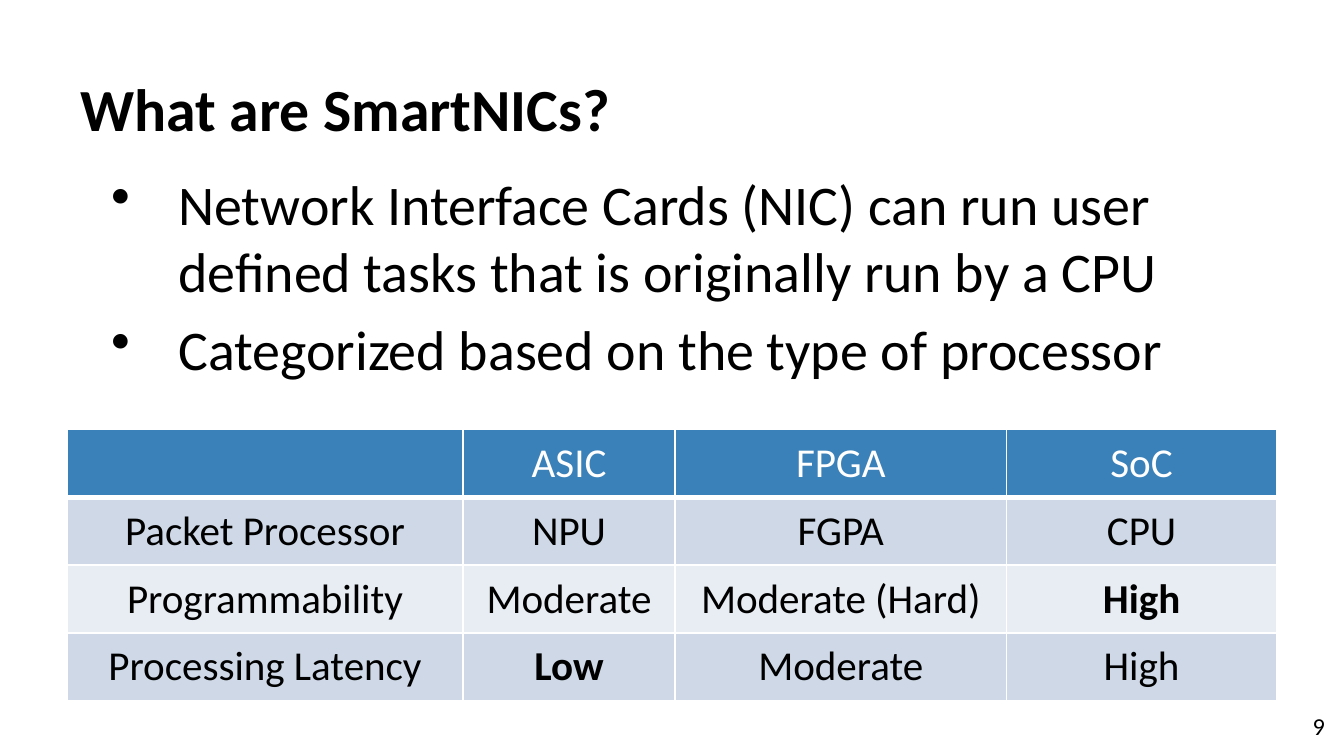
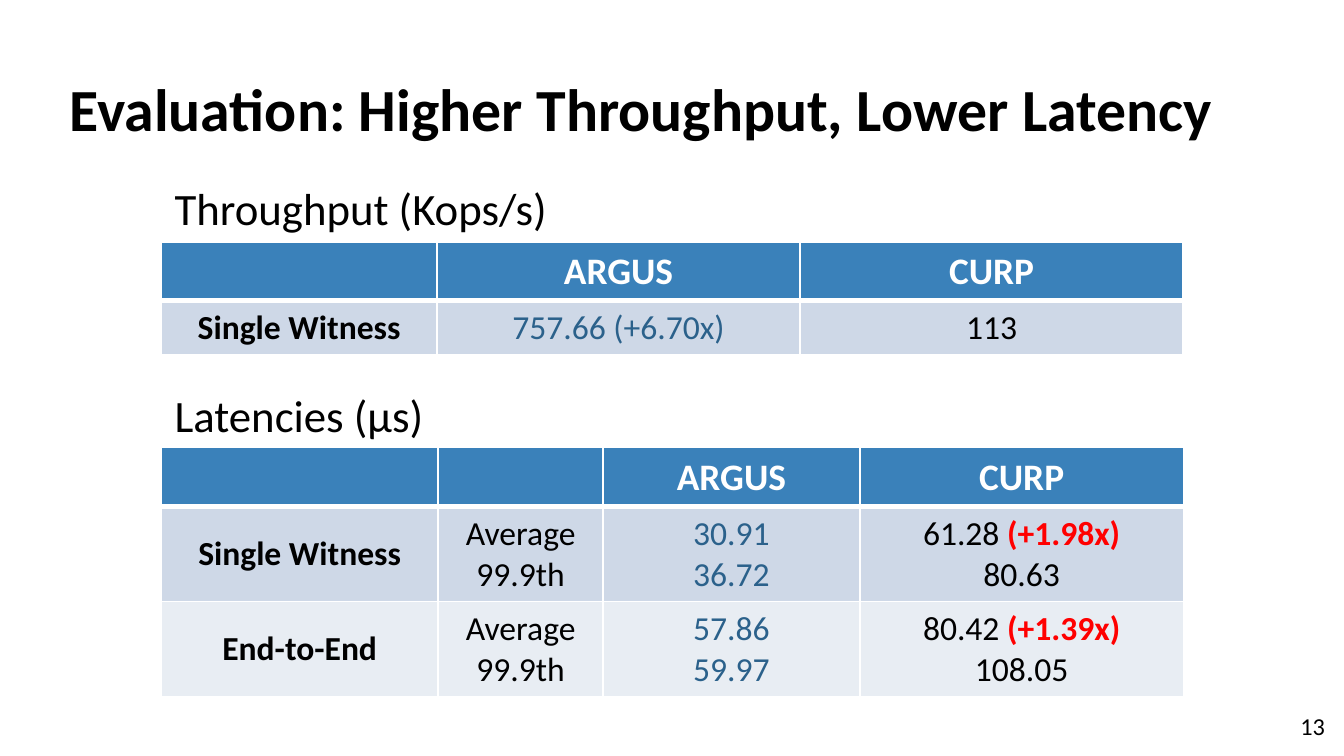
from lxml.etree import SubElement
from pptx import Presentation
from pptx.dml.color import RGBColor
from pptx.enum.text import MSO_ANCHOR as Anchor, MSO_AUTO_SIZE as AutoSize, PP_ALIGN as Align
from pptx.oxml.ns import qn
from pptx.util import Cm, Pt

BLACK = RGBColor(0x00, 0x00, 0x00)
WHITE = RGBColor(0xFF, 0xFF, 0xFF)
HEADER_BLUE = RGBColor(0x3A, 0x81, 0xBA)
BAND_DARK = RGBColor(0xCE, 0xD8, 0xE7)
BAND_LIGHT = RGBColor(0xE8, 0xED, 0xF3)
ARGUS_BLUE = RGBColor(0x2B, 0x61, 0x8B)
GAIN_RED = RGBColor(0xFF, 0x00, 0x00)

FONT = "Calibri"
WIDE_INSETS = (0.25, 0.25)
THIN_INSETS = (0.25, 0.13)
BOLD = {"bold": True}
ARGUS = {"color": ARGUS_BLUE}
GAIN = {"color": GAIN_RED, "bold": True}


def apply(target, values):
    for name, value in values.items():
        setattr(target, name, value)


def margins(insets):
    side, top = map(Cm, insets)
    return {"margin_left": side, "margin_right": side, "margin_top": top, "margin_bottom": top}


class Deck:
    def __init__(self):
        self.show = Presentation()
        apply(self.show, {"slide_width": Cm(25.4), "slide_height": Cm(14.29)})
        self.page = None

    def add_page(self, number):
        self.page = self.show.slides.add_slide(self.show.slide_layouts[6])
        self.text((23.77, 13.18, 1.52, 1.09), [str(number)], {"size": Pt(13)},
                  {"alignment": Align.RIGHT}, Anchor.MIDDLE, WIDE_INSETS)

    def fill_lines(self, frame, lines, font, layout):
        for index, line in enumerate(lines):
            para = frame.paragraphs[0] if index == 0 else frame.add_paragraph()
            apply(para, layout)
            for part in [line] if isinstance(line, (str, tuple)) else line:
                words, extra = (part, {}) if isinstance(part, str) else part
                values = {"name": FONT, "color": BLACK, "bold": False, **font, **extra}
                span = para.add_run()
                span.text = words
                span.font.color.rgb = values.pop("color")
                apply(span.font, values)

    def text(self, place, lines, font, layout=None, anchor=Anchor.TOP, insets=THIN_INSETS, wrap=True):
        box = self.page.shapes.add_textbox(*map(Cm, place))
        frame = box.text_frame
        apply(frame, {"word_wrap": wrap, "vertical_anchor": anchor, **margins(insets),
                      "auto_size": AutoSize.NONE if wrap else AutoSize.SHAPE_TO_FIT_TEXT})
        self.fill_lines(frame, lines, font, layout or {})
        return frame

    def title(self, place, words, **options):
        self.text(place, [words], {"size": Pt(32), "bold": True}, **options)

    def caption(self, place, words):
        self.text(place, [words], {"size": Pt(24)}, wrap=False)

    def bullets(self, place, lines):
        frame = self.text(place, lines, {"size": Pt(30)}, {"space_before": Pt(6)}, insets=WIDE_INSETS)
        for para in frame.paragraphs:
            properties = para._p.get_or_add_pPr()
            properties.set("marL", str(Cm(1.27)))
            properties.set("indent", str(-Cm(1.27)))
            color = SubElement(properties, qn("a:buClr"))
            SubElement(color, qn("a:srgbClr"), val=str(BLACK))
            SubElement(properties, qn("a:buChar"), char="•")

    def borders(self, cell, bottom):
        properties = cell._tc.get_or_add_tcPr()
        for side, width in {"L": 1, "R": 1, "T": 1, "B": bottom}.items():
            line = SubElement(properties, qn(f"a:ln{side}"), w=str(Pt(width)))
            fill = SubElement(line, qn("a:solidFill"))
            SubElement(fill, qn("a:srgbClr"), val=str(WHITE))

    def table(self, corner, widths, heights, rows, header, body, insets=THIN_INSETS, label=None):
        size = (sum(widths), sum(heights))
        grid = self.page.shapes.add_table(len(rows), len(widths), *map(Cm, corner + size)).table
        for column, width in zip(grid.columns, widths):
            column.width = Cm(width)
        for r, (cells, height) in enumerate(zip(rows, heights)):
            grid.rows[r].height = Cm(height)
            for c, lines in enumerate(cells):
                cell = grid.cell(r, c)
                is_label = label is not None and r > 0 and c == 0
                self.borders(cell, 1 if r else 3)
                cell.fill.solid()
                cell.fill.fore_color.rgb = (BAND_DARK if r % 2 else BAND_LIGHT) if r else HEADER_BLUE
                apply(cell, {**margins(insets),
                             "vertical_anchor": Anchor.MIDDLE if is_label else Anchor.TOP})
                font = {**body, **(label if is_label else {})} if r else {"color": WHITE, **header}
                if lines:
                    self.fill_lines(cell.text_frame, lines if isinstance(lines, list) else [lines],
                                    font, {"alignment": Align.CENTER})


def smartnic_page(deck):
    deck.add_page(9)
    deck.title((1.27, 0.58, 22.86, 2.39), "What are SmartNICs?", anchor=Anchor.BOTTOM, insets=WIDE_INSETS)
    deck.bullets((1.85, 2.95, 21.69, 4.55), [
        "Network Interface Cards (NIC) can run user defined tasks that is originally run by a CPU",
        "Categorized based on the type of processor",
    ])
    deck.table((1.27, 8.11), (7.48, 4.01, 6.26, 5.11), (1.28,) * 4, [
        ("", "ASIC", "FPGA", "SoC"),
        ("Packet Processor", "NPU", "FGPA", "CPU"),
        ("Programmability", "Moderate", "Moderate (Hard)", ("High", BOLD)),
        ("Processing Latency", ("Low", BOLD), "Moderate", "High"),
    ], {"size": Pt(22)}, {"size": Pt(22)}, insets=(0.33, 0.17))


def evaluation_page(deck):
    deck.add_page(13)
    deck.title((1.07, 0.74, 22.28, 2.77), "Evaluation: Higher Throughput, Lower Latency",
               layout={"line_spacing": 0.9}, anchor=Anchor.MIDDLE)
    style = {"header": {"size": Pt(20), "bold": True}, "body": {"size": Pt(18)}, "label": BOLD}
    measures = ["Average", "99.9th"]

    deck.caption((3.05, 3.28, 7.67, 1.27), "Throughput (Kops/s)")
    deck.table((3.05, 4.57), (5.21, 6.86, 7.24), (1.1, 1.02), [
        ("", "ARGUS", "CURP"),
        ("Single Witness", ("757.66 (+6.70x)", ARGUS), "113"),
    ], **style)

    deck.caption((3.05, 7.19, 5.28, 1.27), "Latencies (μs)")
    deck.table((3.05, 8.46), (5.23, 3.12, 4.85, 6.12), (1.1, 1.8, 1.8), [
        ("", "", "ARGUS", "CURP"),
        ("Single Witness", measures, [("30.91", ARGUS), ("36.72", ARGUS)],
         [["61.28 ", ("(+1.98x)", GAIN)], "80.63"]),
        ("End-to-End", measures, [("57.86", ARGUS), ("59.97", ARGUS)],
         [["80.42", (" (+1.39x)", GAIN)], "108.05"]),
    ], **style)


def main():
    deck = Deck()
    smartnic_page(deck)
    evaluation_page(deck)
    deck.show.save("out.pptx")


if __name__ == "__main__":
    main()
